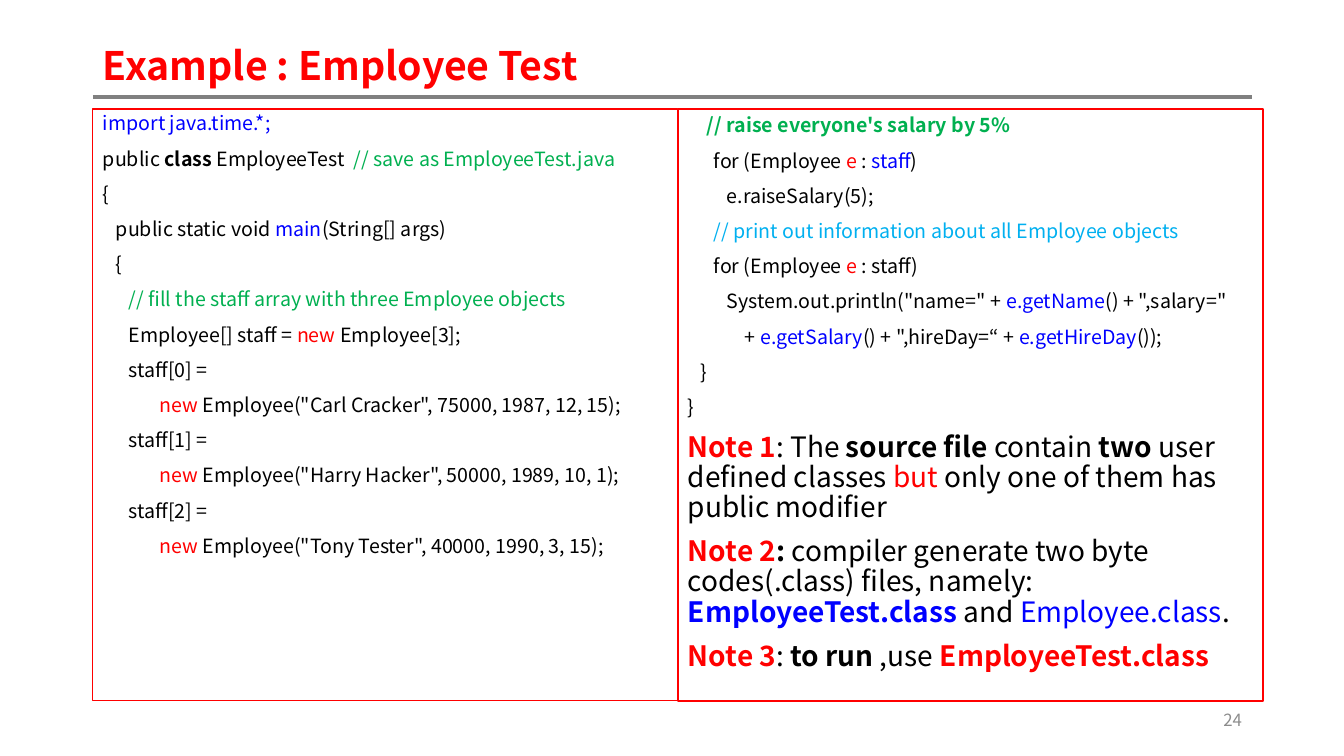
import pptx
import pptx.dml.color
import pptx.enum.shapes
import pptx.enum.text
import pptx.oxml
import pptx.util
from pptx.oxml.ns import qn

# Content: a line is (indent in px, size name, spans); a span is text or (text, style)
TITLE = "Example : Employee Test"
PAGE_NUMBER = "24"
LEFT_LINES = [
    (0, "code", [("import java.time.*;", "blue")]),
    (0, "code", ["public ", ("class", "bold"), " EmployeeTest  ",
                 ("// save as EmployeeTest.java", "green")]),
    (0, "code", ["{"]),
    (13, "code", ["public static void ", ("main", "blue"), "(String[] args)"]),
    (13, "code", ["{"]),
    (26, "code", [("// fill the staff array with three Employee objects", "green")]),
    (26, "code", ["Employee[] staff = ", ("new ", "red"), "Employee[3];"]),
]
STAFF = [
    '"Carl Cracker", 75000, 1987, 12, 15',
    '"Harry Hacker", 50000, 1989, 10, 1',
    '"Tony Tester", 40000, 1990, 3, 15',
]
for index, values in enumerate(STAFF):
    LEFT_LINES += [
        (26, "code", [f"staff[{index}] ="]),
        (57, "code", [("new", "red"), f" Employee({values});"]),
    ]
RIGHT_LINES = [
    (19, "code", [("// raise everyone's salary by 5%", "bold green")]),
    (26, "code", ["for (Employee ", ("e", "red"), " : ", ("staff", "blue"), ")"]),
    (39, "code", ["e.raiseSalary(5);"]),
    (26, "code", [("// print out information about all Employee objects", "sky")]),
    (26, "code", ["for (Employee ", ("e", "red"), " : staff)"]),
    (39, "code", ['System.out.println("name=" + ', ("e.getName", "blue"),
                  '() + ",salary="']),
    (57, "code", ["+ ", ("e.getSalary", "blue"), '() + ",hireDay=“ + ',
                  ("e.getHireDay", "blue"), "());"]),
    (13, "code", ["}"]),
    (0, "code", ["}"]),
    (0, "note", [("Note 1", "bold red"), ": The ", ("source file ", "bold"), "contain ",
                 ("two", "bold"), " user defined classes ", ("but", "red"),
                 " only one of them has public modifier"]),
    (0, "note", [("Note 2", "bold red"), (":", "bold"),
                 " compiler generate two byte codes(.class) files, namely: ",
                 ("EmployeeTest.class", "bold blue"), " and ",
                 ("Employee.class", "blue"), "."]),
    (0, "note", [("Note 3", "bold red"), ": ", ("to run ", "bold"), ",use ",
                 ("EmployeeTest.class", "bold red")]),
]

THEME = {
    "font": "Noto Sans CJK KR",
    "sizes": {"title": 28, "code": 14, "note": 20, "number": 12},
    "colors": {"black": "000000", "red": "FF0000", "blue": "0000FF", "green": "00B050",
               "sky": "00B0F0", "gray": "8C8C8C", "rule": "808080"},
}

# Layout in px
PX = 914400 / 100.8
MARGIN, CONTENT_WIDTH = 93, 1159
TITLE_TOP, TITLE_HEIGHT = 40, 56
PANEL_TOP, PANEL_WIDTH, PANEL_HEIGHT = 109, 585, 592
NUMBER_WIDTH, NUMBER_HEIGHT = 302, 40


def px(length):
    return pptx.util.Emu(round(length * PX))


def color(name):
    return pptx.dml.color.RGBColor.from_string(THEME["colors"][name])


def write(para, text, size="code", style=""):
    """Add one span; style holds a colour name, bold, or both."""
    words = style.split()
    span = para.add_run()
    span.text = text
    span.font.name = THEME["font"]
    span.font.size = pptx.util.Pt(THEME["sizes"][size])
    span.font.bold = "bold" in words
    span.font.color.rgb = color(next((w for w in words if w != "bold"), "black"))


def add_label(page, bounds, text, size, style, align):
    box = page.shapes.add_textbox(*map(px, bounds))
    frame = box.text_frame
    frame.word_wrap = True
    frame.vertical_anchor = pptx.enum.text.MSO_ANCHOR.MIDDLE
    para = frame.paragraphs[0]
    para.alignment = align
    para.line_spacing = 0.9
    write(para, text, size=size, style=style)


def add_panel(page, left, lines, border, inset_top):
    box = page.shapes.add_shape(
        pptx.enum.shapes.MSO_SHAPE.RECTANGLE,
        px(left), px(PANEL_TOP), px(PANEL_WIDTH), px(PANEL_HEIGHT))
    box.shadow.inherit = False
    box.fill.background()
    box.line.color.rgb = color("red")
    box.line.width = pptx.util.Pt(border)
    frame = box.text_frame
    frame.word_wrap = True
    frame.vertical_anchor = pptx.enum.text.MSO_ANCHOR.TOP
    frame.margin_top = px(inset_top)
    for number, (indent, size, spans) in enumerate(lines):
        para = frame.add_paragraph() if number else frame.paragraphs[0]
        para.alignment = pptx.enum.text.PP_ALIGN.LEFT
        para.line_spacing = 0.9
        para.space_before = pptx.util.Pt(10)
        if indent:
            para._p.get_or_add_pPr().set("marL", str(px(indent)))
        for span in spans:
            text, style = (span, "") if isinstance(span, str) else span
            write(para, text, size=size, style=style)


def main():
    deck = pptx.Presentation()
    deck.slide_width, deck.slide_height = px(1344), px(756)
    page = deck.slides.add_slide(deck.slide_layouts[6])
    align = pptx.enum.text.PP_ALIGN

    # Title and the rule below it
    rule_y = px(TITLE_TOP + TITLE_HEIGHT + 1)
    rule = page.shapes.add_connector(
        pptx.enum.shapes.MSO_CONNECTOR.STRAIGHT,
        px(MARGIN), rule_y, px(MARGIN + CONTENT_WIDTH), rule_y)
    rule.line.color.rgb = color("rule")
    rule.line.width = pptx.util.Pt(3)
    rule._element.spPr.append(pptx.oxml.xmlchemy.OxmlElement("a:effectLst"))
    add_label(page, (MARGIN, TITLE_TOP, CONTENT_WIDTH, TITLE_HEIGHT),
              TITLE, "title", "bold red", align.LEFT)

    # Two code panels side by side
    add_panel(page, MARGIN, LEFT_LINES, border=0.75, inset_top=5)
    add_panel(page, MARGIN + PANEL_WIDTH, RIGHT_LINES, border=1.5, inset_top=7)

    # Page number
    add_label(page, (MARGIN + CONTENT_WIDTH - NUMBER_WIDTH, PANEL_TOP + PANEL_HEIGHT,
                     NUMBER_WIDTH, NUMBER_HEIGHT),
              PAGE_NUMBER, "number", "gray", align.RIGHT)

    deck.save("out.pptx")


if __name__ == "__main__":
    main()
